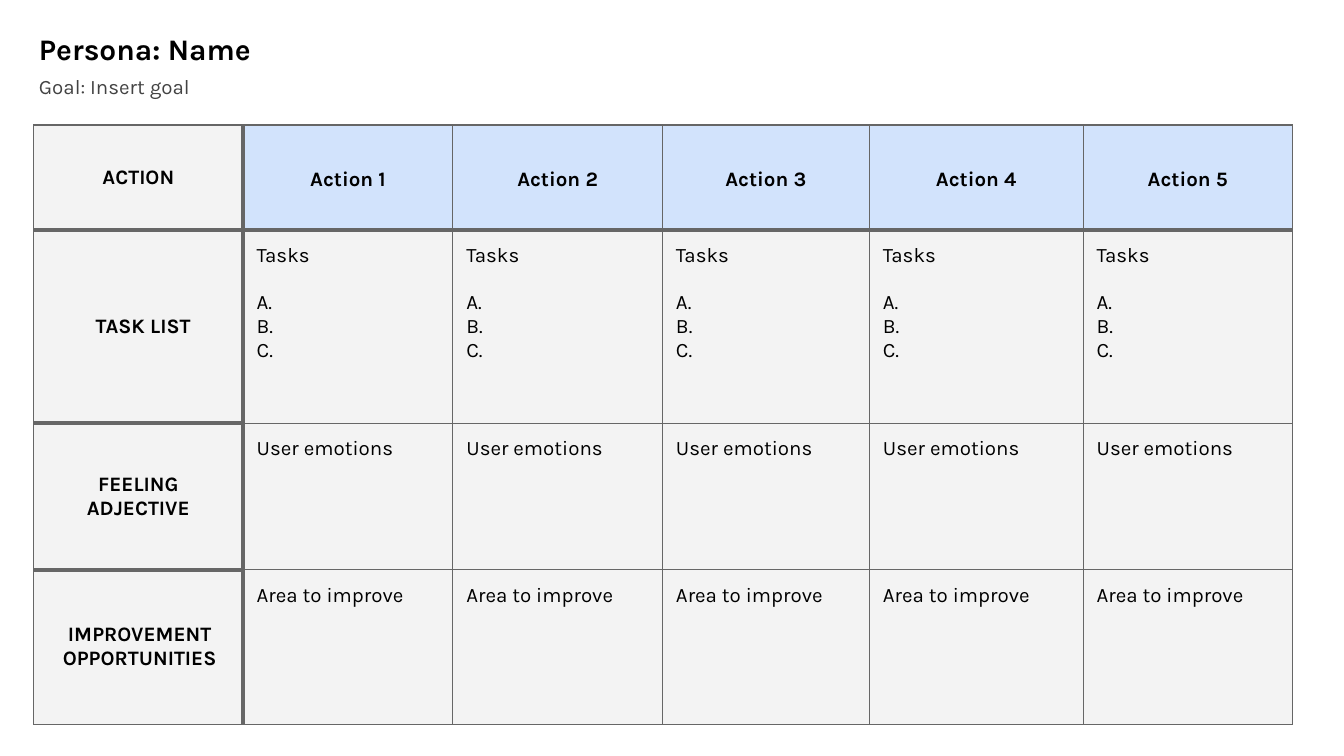
"""Build a persona journey slide: goal, actions, tasks, feelings and improvements."""
import dataclasses

import lxml.etree
import pptx
import pptx.dml.color
import pptx.enum.text
import pptx.oxml.ns
import pptx.presentation
import pptx.shapes.autoshape
import pptx.table
import pptx.text.text
import pptx.util

Inches = pptx.util.Inches
Pt = pptx.util.Pt
RGBColor = pptx.dml.color.RGBColor
Align = pptx.enum.text.PP_ALIGN
Anchor = pptx.enum.text.MSO_ANCHOR

BLACK = RGBColor(0x00, 0x00, 0x00)
GREY = RGBColor(0x43, 0x43, 0x43)
RULE = RGBColor(0x66, 0x66, 0x66)
PALE = RGBColor(0xF3, 0xF3, 0xF3)
BLUE = RGBColor(0xD2, 0xE3, 0xFC)
FONT = "Karla"
PAD = Inches(0.1)
THIN, THICK = Pt(0.75), Pt(2.25)
WIDTHS = (1.56, 1.56, 1.56, 1.54, 1.59, 1.56)


@dataclasses.dataclass
class Row:
    """One band of the table."""
    head: str
    lines: tuple[str, ...]
    height: float
    inset: float = 0.1
    margin: float = 0
    indent: float = 0


ROWS = (
    Row("ACTION", ("Action {}",), 0.78),
    Row("TASK LIST", ("Tasks", "A. ", "B. ", "C."), 1.44, margin=0.19, indent=-0.12),
    Row("FEELING ADJECTIVE", ("User emotions ",), 1.09),
    Row("IMPROVEMENT OPPORTUNITIES", ("Area to improve ",), 1.15, inset=0.12),
)


def style(par: pptx.text.text._Paragraph, size: float, color: RGBColor, bold: bool) -> None:
    """Set the font of a paragraph."""
    font = par.font
    font.name, font.size, font.bold = FONT, Pt(size), bold
    font.color.rgb = color


def label(box: pptx.shapes.autoshape.Shape, text: str, place: tuple[float, ...],
          size: float, color: RGBColor, bold: bool) -> None:
    """Place and fill a heading placeholder."""
    box.left, box.top, box.width, box.height = map(Inches, place)
    frame = box.text_frame
    frame.text = text
    frame.word_wrap = True
    frame.auto_size = pptx.enum.text.MSO_AUTO_SIZE.NONE
    frame.vertical_anchor = Anchor.TOP
    frame.margin_left = frame.margin_right = PAD
    frame.margin_top = frame.margin_bottom = PAD
    par = frame.paragraphs[0]
    par.alignment = Align.LEFT
    par.space_before = Pt(0)
    style(par, size, color, bold)


def border(cell: pptx.table._Cell, row: int, col: int) -> None:
    """Rule the cell, thick beside the heads and below the actions."""
    heavy = {
        "L": col == 1,
        "R": col == 0,
        "T": row == 1 or (col == 0 and row > 0),
        "B": row == 0 or (col == 0 and row < len(ROWS) - 1),
    }
    qn = pptx.oxml.ns.qn
    props = cell._tc.get_or_add_tcPr()
    for side, thick in heavy.items():
        line = lxml.etree.SubElement(props, qn(f"a:ln{side}"), w=str(THICK if thick else THIN))
        fill = lxml.etree.SubElement(line, qn("a:solidFill"))
        lxml.etree.SubElement(fill, qn("a:srgbClr"), val=str(RULE))


def write(cell: pptx.table._Cell, row: int, col: int) -> None:
    """Fill, rule and letter one cell."""
    band = ROWS[row]
    head, action = col == 0, row == 0
    border(cell, row, col)
    cell.fill.solid()
    cell.fill.fore_color.rgb = BLUE if action and not head else PALE
    cell.margin_left = Inches(band.inset) if head else PAD
    cell.margin_right = cell.margin_top = cell.margin_bottom = PAD
    cell.vertical_anchor = Anchor.MIDDLE if head or action else Anchor.TOP
    lines = (band.head,) if head else band.lines
    cell.text = "\n".join(lines).format(col)
    pars = cell.text_frame.paragraphs
    for par in pars:
        par.alignment = Align.CENTER if head or action else Align.LEFT
        style(par, 11, BLACK, head or action)
        if action and not head:
            par.line_spacing = 1.15
    if len(pars) > 1:
        pars[0].space_after = Pt(12.5)
    if head and band.margin:
        props = pars[0]._p.get_or_add_pPr()
        props.set("marL", str(Inches(band.margin)))
        props.set("indent", str(Inches(band.indent)))


def build() -> pptx.presentation.Presentation:
    """Return the finished deck."""
    deck = pptx.Presentation()
    deck.slide_width = Inches(10)
    deck.slide_height = deck.slide_width * 9 // 16
    slide = deck.slides.add_slide(deck.slide_layouts[0])
    title, goal = slide.placeholders
    label(title, "Persona: Name", (0.19, 0.13, 1.95, 0.44), 16, BLACK, True)
    label(goal, "Goal: Insert goal", (0.19, 0.45, 9.28, 0.3), 11, GREY, False)
    goal.text_frame.paragraphs[0].space_after = Pt(3)

    tall = sum(band.height for band in ROWS)
    grid = slide.shapes.add_table(len(ROWS), len(WIDTHS), Inches(0.25), Inches(0.93),
                                  Inches(sum(WIDTHS)), Inches(tall)).table
    grid.first_row = grid.horz_banding = False
    for col, width in enumerate(WIDTHS):
        grid.columns[col].width = Inches(width)
    for row, band in enumerate(ROWS):
        grid.rows[row].height = Inches(band.height)
        for col in range(len(WIDTHS)):
            write(grid.cell(row, col), row, col)
    return deck


build().save("out.pptx")
